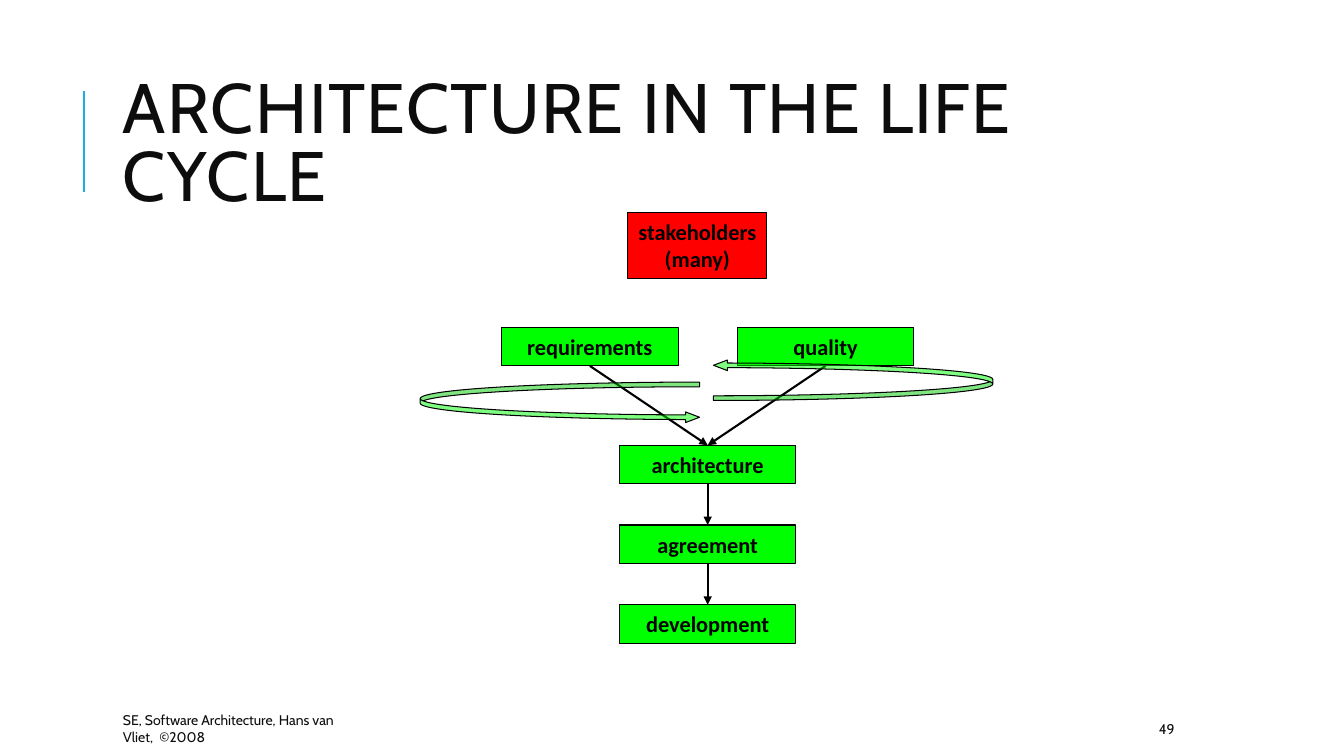
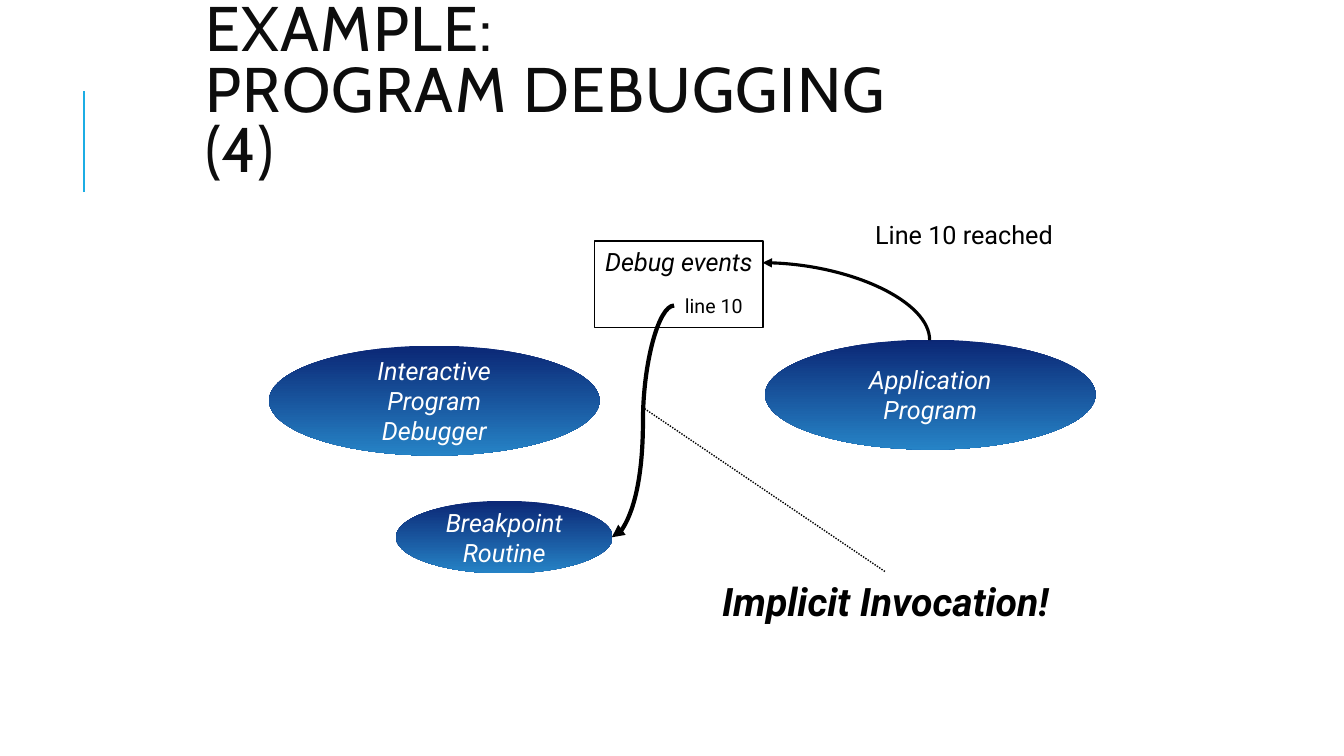
import dataclasses
import typing

import lxml.etree
import pptx
import pptx.dml.color
import pptx.enum.dml
import pptx.enum.shapes
import pptx.enum.text
import pptx.oxml.ns
import pptx.util

INK = {
    "black": "000000",
    "title": "0D0D0D",
    "white": "FFFFFF",
    "rule": "1CADE4",
    "green": "00FF00",
    "red": "FF0000",
    "navy": "0B2775",
    "blue": "2683C6",
}

KIND = pptx.enum.shapes.MSO_SHAPE
LINK = pptx.enum.shapes.MSO_CONNECTOR
ALIGN = pptx.enum.text.PP_ALIGN
ANCHOR = pptx.enum.text.MSO_ANCHOR


@dataclasses.dataclass(frozen=True)
class Font:
    name: str
    size: int
    ink: str = "black"
    bold: bool = False
    slant: bool = False


@dataclasses.dataclass(frozen=True)
class Box:
    text: str
    x: float
    y: float
    w: float
    h: float


@dataclasses.dataclass(frozen=True)
class Route:
    x1: float
    y1: float
    x2: float
    y2: float


HEAD = Font("Cabin", 50, "title")
FOOT = Font("Cabin", 10, "title")
NODE = Font("Calibri", 16, bold=True)
BODY = Font("Roboto", 18)
SLANT = Font("Roboto", 18, slant=True)
OVAL = Font("Roboto", 18, "white", slant=True)
SMALL = Font("Roboto", 14)
SHOUT = Font("Roboto", 28, bold=True, slant=True)


def tint(name: str) -> pptx.dml.color.RGBColor:
    return pptx.dml.color.RGBColor.from_string(INK[name])


def place(box: Box) -> list[pptx.util.Length]:
    return [pptx.util.Cm(side) for side in (box.x, box.y, box.w, box.h)]


def write(shape: typing.Any, text: str, font: Font, align: ALIGN = ALIGN.CENTER,
          anchor: ANCHOR = ANCHOR.MIDDLE, wrap: bool = True) -> None:
    frame = shape.text_frame
    frame.text = text
    frame.word_wrap = wrap
    frame.vertical_anchor = anchor
    for line in frame.paragraphs:
        line.alignment = align
        for run in line.runs:
            run.font.name = font.name
            run.font.size = pptx.util.Pt(font.size)
            run.font.bold = font.bold
            run.font.italic = font.slant
            run.font.color.rgb = tint(font.ink)


def label(slide: typing.Any, box: Box, font: Font, **style: typing.Any) -> typing.Any:
    shape = slide.shapes.add_textbox(*place(box))
    write(shape, box.text, font, **style)
    return shape


def draw(slide: typing.Any, kind: KIND, box: Box, fill: str | None = None,
         edge: float = 0.75) -> typing.Any:
    shape = slide.shapes.add_shape(kind, *place(box))
    shape.shadow.inherit = False
    if fill:
        shape.fill.solid()
        shape.fill.fore_color.rgb = tint(fill)
    else:
        shape.fill.background()
    shape.line.color.rgb = tint("black")
    shape.line.width = pptx.util.Pt(edge)
    return shape


def block(slide: typing.Any, box: Box, fill: str, wrap: bool = True) -> typing.Any:
    shape = draw(slide, KIND.RECTANGLE, box, fill)
    write(shape, box.text, NODE, wrap=wrap)
    return shape


def oval(slide: typing.Any, box: Box) -> None:
    shape = draw(slide, KIND.OVAL, box)
    shape.line.fill.background()
    shape.fill.gradient()
    shape.fill.gradient_angle = 270
    for stop, name in zip(shape.fill.gradient_stops, ("navy", "blue")):
        stop.color.rgb = tint(name)
    write(shape, box.text, OVAL, wrap=False)


def swirl(slide: typing.Any, box: Box, turn: int) -> None:
    shape = draw(slide, KIND.CURVED_RIGHT_ARROW, box, "green")
    shape.rotation = turn
    for spot, value in enumerate((0.115, 0.263, 0.346)):
        shape.adjustments[spot] = value
    paint = shape.element.spPr.find(pptx.oxml.ns.qn("a:solidFill"))
    lxml.etree.SubElement(paint[0], pptx.oxml.ns.qn("a:alpha"), val="50000")


def link(slide: typing.Any, route: Route, width: float, ink: str = "black",
         kind: LINK = LINK.STRAIGHT, arrow: bool = False, dots: bool = False) -> typing.Any:
    ends = [pptx.util.Cm(spot) for spot in dataclasses.astuple(route)]
    line = slide.shapes.add_connector(kind, *ends)
    line.line.color.rgb = tint(ink)
    line.line.width = pptx.util.Pt(width)
    if dots:
        line.line.dash_style = pptx.enum.dml.MSO_LINE.ROUND_DOT
    props = line.element.spPr
    if arrow:
        stroke = props.find(pptx.oxml.ns.qn("a:ln"))
        lxml.etree.SubElement(stroke, pptx.oxml.ns.qn("a:tailEnd"), type="triangle")
    lxml.etree.SubElement(props, pptx.oxml.ns.qn("a:effectLst"))
    return line


def start(deck: typing.Any, title: Box, size: int) -> typing.Any:
    slide = deck.slides.add_slide(deck.slide_layouts[6])
    link(slide, Route(2.12, 4.84, 2.12, 2.3), 1.5, "rule")
    font = dataclasses.replace(HEAD, size=size)
    head = label(slide, title, font, align=ALIGN.LEFT)
    for line in head.text_frame.paragraphs:
        line.line_spacing = 0.8
        for run in line.runs:
            run.font._element.set("spc", "100")
    return slide


def cycle(deck: typing.Any) -> None:
    slide = start(deck, Box("ARCHITECTURE IN THE LIFE CYCLE", 2.85, 1.63, 27, 4.17), 50)
    label(slide, Box("SE, Software Architecture, Hans van Vliet,  ©2008",
                     2.85, 17.98, 6, 0.77), FOOT, align=ALIGN.LEFT)
    label(slide, Box("49", 13.47, 17.98, 16.38, 0.77), FOOT, align=ALIGN.RIGHT)

    wide, high, left, top, step, shift = 4.45, 0.97, 15.61, 11.22, 2.01, 2.97
    needs, worth = [
        block(slide, Box(text, left + side * shift, 8.25, wide, high), "green")
        for text, side in (("requirements", -1), ("quality", 1))
    ]
    chain = [
        block(slide, Box(text, left, top + row * step, wide, high), "green")
        for row, text in enumerate(("architecture", "agreement", "development"))
    ]
    block(slide, Box("stakeholders\n(many)", 15.82, 5.36, 3.51, 1.65), "red", wrap=False)

    pairs = [(needs, chain[0]), (worth, chain[0]), *zip(chain, chain[1:])]
    for first, last in pairs:
        line = link(slide, Route(0, 0, 1, 1), 1.5, arrow=True)
        line.begin_connect(first, 2)
        line.end_connect(last, 0)

    swirl(slide, Box("", 10.59, 9.63, 7.04, 1.02), 0)
    swirl(slide, Box("", 17.98, 9.07, 7.04, 1.02), 180)


def debug(deck: typing.Any) -> None:
    title = "EXAMPLE:\vPROGRAM DEBUGGING (4)"
    slide = start(deck, Box(title, 4.93, 0.94, 17.7, 2.87), 45)
    for box in (
        Box("Interactive\nProgram\nDebugger", 6.78, 8.71, 8.33, 2.77),
        Box("Application\vProgram", 19.28, 8.56, 8.33, 2.77),
        Box("Breakpoint\nRoutine", 9.98, 12.62, 5.46, 1.83),
    ):
        oval(slide, box)

    event = Box("Debug events", 14.99, 6.07, 4.24, 2.18)
    frame = draw(slide, KIND.RECTANGLE, event, edge=1)
    write(frame, event.text, SLANT, anchor=ANCHOR.TOP, wrap=False)

    for box, font, wrap in (
        (Box("Line 10 reached", 19.81, 5.4, 8.97, 1.02), BODY, True),
        (Box("line 10", 17, 7.28, 1.98, 0.86), SMALL, False),
        (Box("Implicit Invocation!", 17.83, 14.42, 8.97, 2.64), SHOUT, True),
    ):
        label(slide, box, font, anchor=ANCHOR.TOP, wrap=wrap)

    bend = link(slide, Route(22.3, 5.49, 20.35, 9.7), 2.25, kind=LINK.CURVE, arrow=True)
    props = bend.element.spPr
    props.find(pptx.oxml.ns.qn("a:xfrm")).set("rot", "5400000")
    props.find(pptx.oxml.ns.qn("a:prstGeom")).set("prst", "curvedConnector2")
    link(slide, Route(16.99, 7.7, 15.42, 13.54), 3, kind=LINK.CURVE, arrow=True)
    link(slide, Route(22.3, 14.4, 16.23, 10.29), 1, dots=True)


def main() -> None:
    deck = pptx.Presentation()
    deck.slide_width = pptx.util.Cm(33.87)
    deck.slide_height = pptx.util.Cm(19.05)
    cycle(deck)
    debug(deck)
    deck.save("out.pptx")


if __name__ == "__main__":
    main()
